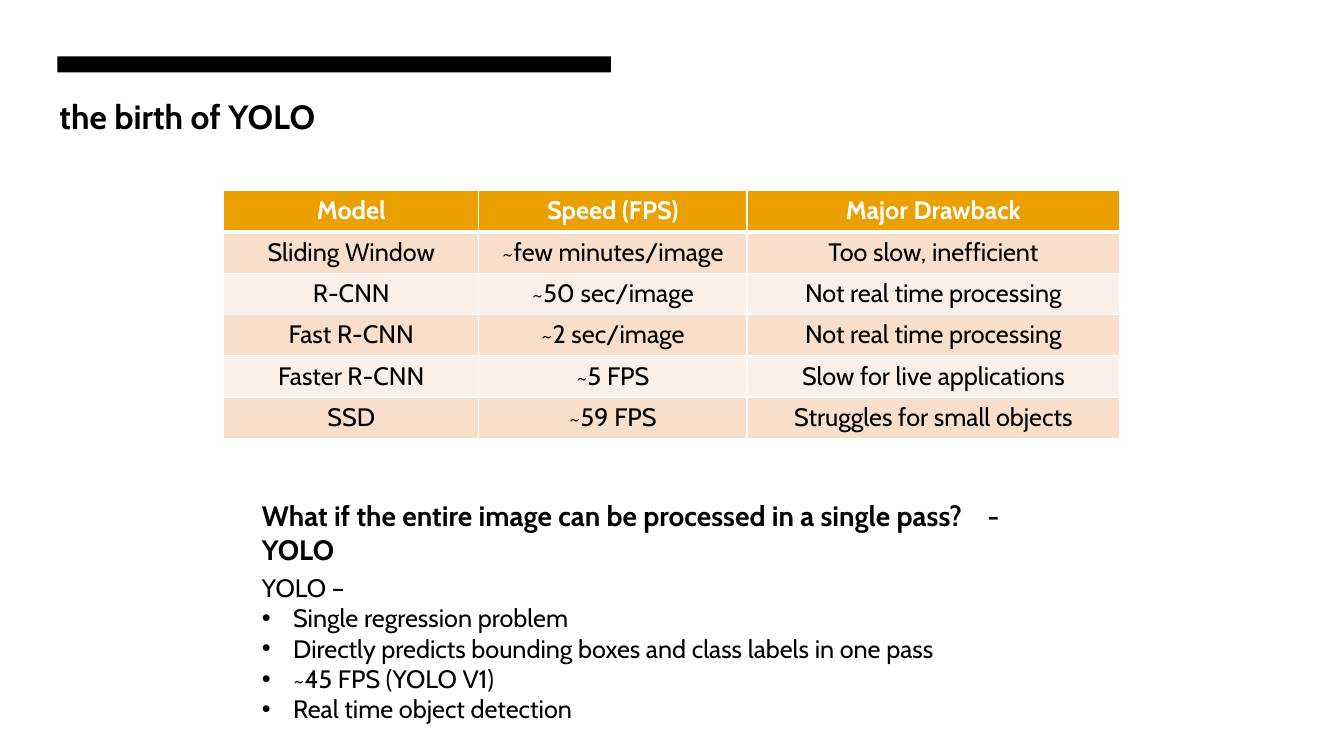
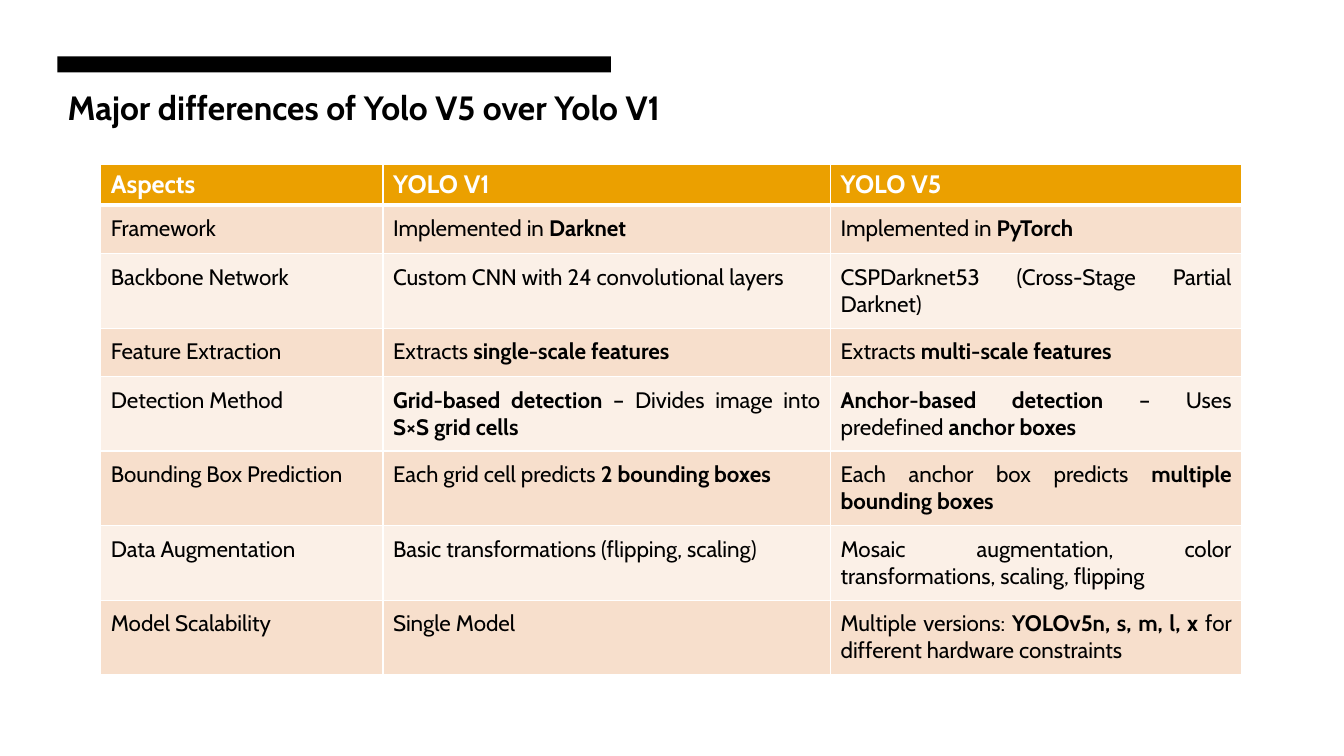
from pptx import Presentation
from pptx.dml.color import RGBColor
from pptx.enum import shapes, text
from pptx.oxml import parse_xml
from pptx.oxml.ns import nsdecls
from pptx.util import Emu, Inches, Pt

FONT = "Cabin"
BLACK, WHITE, AMBER = "000000", "FFFFFF", "EBA000"
BANDS = ("F7DFCC", "FBF0E7")
ALIGN = text.PP_ALIGN

DETECTORS = [
    ("Model", "Speed (FPS)", "Major Drawback"),
    ("Sliding Window", "~few minutes/image", "Too slow, inefficient"),
    ("R-CNN", "~50 sec/image", "Not real time processing"),
    ("Fast R-CNN", "~2 sec/image", "Not real time processing"),
    ("Faster R-CNN", "~5 FPS", "Slow for live applications"),
    ("SSD", "~59 FPS", "Struggles for small objects"),
]
YOLO_TRAITS = [
    "Single regression problem",
    "Directly predicts bounding boxes and class labels in one pass",
    "~45 FPS (YOLO V1)",
    "Real time object detection",
]
# Text between ** marks is bold.
VERSIONS = [
    ("Aspects", "YOLO V1", "YOLO V5"),
    ("Framework", "Implemented in **Darknet**", "Implemented in **PyTorch**"),
    ("Backbone Network", "Custom CNN with 24 convolutional layers",
     "CSPDarknet53 (Cross-Stage Partial Darknet)"),
    ("Feature Extraction", "Extracts **single-scale features**",
     "Extracts **multi-scale features**"),
    ("Detection Method",
     "**Grid-based detection** – Divides image into **S×S grid cells**",
     "**Anchor-based detection** – Uses predefined **anchor boxes**"),
    ("Bounding Box Prediction", "Each grid cell predicts **2 bounding boxes**",
     "Each anchor box predicts **multiple bounding boxes**"),
    ("Data Augmentation", "Basic transformations (flipping, scaling)",
     "Mosaic augmentation, color transformations, scaling, flipping"),
    ("Model Scalability", "Single Model",
     "Multiple versions: **YOLOv5n, s, m, l, x** for different hardware constraints"),
]


def rgb(value):
    return RGBColor.from_string(value)


def write(paragraph, content, size, color=BLACK, bold=False, align=ALIGN.LEFT):
    """Fill a paragraph, turning **marked** parts bold."""
    for i, part in enumerate(content.split("**")):
        if part:
            run = paragraph.add_run()
            run.text = part
            if i % 2:
                run.font.bold = True
    paragraph.alignment = align
    font = paragraph.font
    font.name, font.size, font.bold = FONT, Pt(size), bold
    font.color.rgb = rgb(color)


def add_titled_slide(prs, title, left, top, width):
    slide = prs.slides.add_slide(prs.slide_layouts[5])
    band = slide.shapes.add_shape(shapes.MSO_SHAPE.RECTANGLE, Inches(0.57),
                                  Inches(0.56), Inches(5.49), Inches(0.16))
    band.shadow.inherit = False
    band.fill.solid()
    band.fill.fore_color.rgb = rgb(BLACK)
    band.line.fill.background()

    heading = slide.shapes.title
    heading.left, heading.top = Inches(left), Inches(top)
    heading.width, heading.height = Inches(width), Inches(0.5)
    frame = heading.text_frame
    frame.auto_size = text.MSO_AUTO_SIZE.NONE
    frame.vertical_anchor = text.MSO_ANCHOR.TOP
    write(frame.paragraphs[0], title, 24, bold=True)
    return slide


def add_text_frame(slide, left, top, width, height):
    box = slide.shapes.add_textbox(Inches(left), Inches(top),
                                   Inches(width), Inches(height))
    box.text_frame.word_wrap = True
    return box.text_frame


def add_tab_stop(paragraph, position):
    paragraph._p.get_or_add_pPr().append(parse_xml(
        f'<a:tabLst {nsdecls("a")}><a:tab pos="{Inches(position)}" algn="l"/></a:tabLst>'))


def add_bullet(paragraph, indent=0.31):
    props = paragraph._p.get_or_add_pPr()
    props.set("marL", str(Inches(indent)))
    props.set("indent", str(-Inches(indent)))
    props.append(parse_xml(f'<a:buFont {nsdecls("a")} typeface="Arial"/>'))
    props.append(parse_xml(f'<a:buChar {nsdecls("a")} char="•"/>'))


def paint_cell(cell, fill, widths):
    """Draw white left, right, top and bottom borders, then the fill."""
    props = cell._tc.get_or_add_tcPr()
    for side, width in zip("LRTB", widths):
        props.append(parse_xml(
            f'<a:ln{side} {nsdecls("a")} w="{Pt(width)}"><a:solidFill>'
            f'<a:srgbClr val="{WHITE}"/></a:solidFill></a:ln{side}>'))
    cell.fill.solid()
    cell.fill.fore_color.rgb = rgb(fill)


def add_banded_table(slide, rows, left, top, columns, heights, head_align,
                     body_align, body_size, body_margin):
    table = slide.shapes.add_table(
        len(rows), len(columns), Inches(left), Inches(top),
        Inches(sum(columns)), Inches(sum(heights))).table
    for column, width in zip(table.columns, columns):
        column.width = Inches(width)
    for r, (values, height) in enumerate(zip(rows, heights)):
        table.rows[r].height = Inches(height)
        for c, value in enumerate(values):
            cell = table.cell(r, c)
            if r == 0:
                paint_cell(cell, AMBER, (1, 1, 1, 3))
                style = dict(size=18, color=WHITE, bold=True, align=head_align)
            else:
                paint_cell(cell, BANDS[(r - 1) % 2], (1, 1, 3 if r == 1 else 1, 1))
                cell.margin_top = cell.margin_bottom = Inches(body_margin)
                style = dict(size=body_size, align=body_align)
            write(cell.text_frame.paragraphs[0], value, **style)


def build_birth_slide(prs):
    slide = add_titled_slide(prs, "the birth of YOLO", 0.49, 0.9, 4.96)
    add_banded_table(slide, DETECTORS, 2.22, 1.89, (2.53, 2.66, 3.7),
                     [0.41] * len(DETECTORS), ALIGN.CENTER, ALIGN.CENTER, 18, 0.05)

    question = add_text_frame(slide, 2.5, 4.9, 8, 0.78).paragraphs[0]
    add_tab_stop(question, 7.2)
    write(question, "What if the entire image can be processed in a single pass?\t- YOLO",
          20, bold=True)

    traits = add_text_frame(slide, 2.5, 5.63, 7.21, 1.62)
    write(traits.paragraphs[0], "YOLO –", 18)
    for trait in YOLO_TRAITS:
        paragraph = traits.add_paragraph()
        add_bullet(paragraph)
        write(paragraph, trait, 18)


def build_versions_slide(prs):
    slide = add_titled_slide(prs, "Major differences of Yolo V5 over Yolo V1",
                             0.57, 0.81, 6.3)
    one_line, two_lines = 0.48, 0.74
    heights = [0.39, one_line, two_lines, one_line] + [two_lines] * 4
    add_banded_table(slide, VERSIONS, 1, 1.63, (2.8, 4.44, 4.08), heights,
                     ALIGN.LEFT, ALIGN.JUSTIFY, 16, 0.1)


def main():
    prs = Presentation()
    prs.slide_width, prs.slide_height = Emu(12192000), Inches(7.5)
    build_birth_slide(prs)
    build_versions_slide(prs)
    prs.save("out.pptx")


if __name__ == "__main__":
    main()
